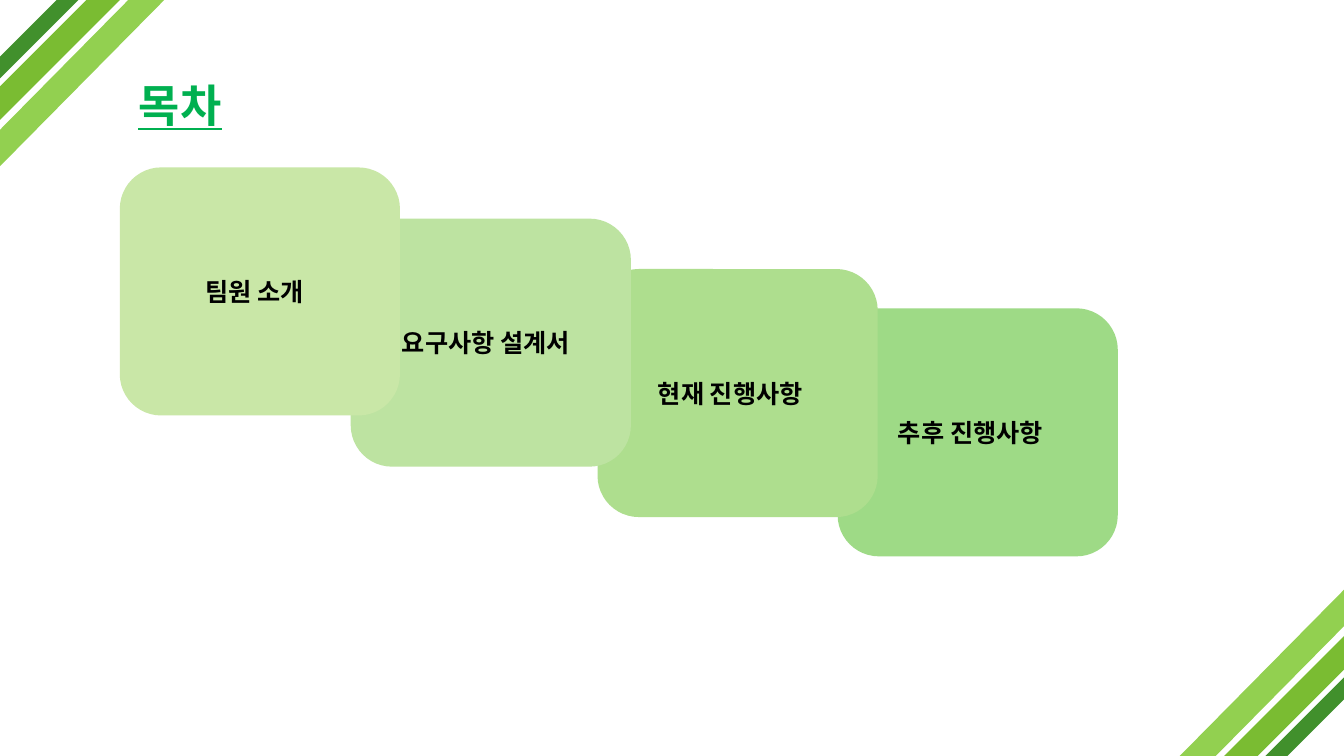
from lxml.etree import SubElement
from pptx import Presentation
from pptx.dml.color import RGBColor
from pptx.enum.shapes import MSO_SHAPE as Shape
from pptx.enum.text import MSO_ANCHOR as Anchor
from pptx.oxml.ns import qn
from pptx.util import Cm, Pt

PAGE_WIDTH, PAGE_HEIGHT = 33.87, 19.05
CARD_WIDTH, CARD_HEIGHT = 7.06, 6.25

# Left, top, label indent, fill, label
CARDS = [
    (3.02, 4.22, 1.9, "C9E7A7", "팀원 소개"),
    (8.84, 5.51, 1.04, "BDE3A1", "요구사항 설계서"),
    (15.06, 6.78, 1.27, "AEDE8E", "현재 진행사항"),
    (21.11, 7.77, 1.27, "9EDA86", "추후 진행사항"),
]

# Width, height, stripe adjustment, fill
STRIPES = [
    (4.14, 4.19, 0.781, "92D050"),
    (3.02, 3.02, 0.721, "7ABC32"),
    (1.98, 1.98, 0.721, "41902C"),
]


def color(value):
    return RGBColor.from_string(value)


def add_filled(page, kind, left, top, width, height, fill):
    shape = page.shapes.add_shape(kind, Cm(left), Cm(top), Cm(width), Cm(height))
    shape.shadow.inherit = False
    shape.fill.solid()
    shape.fill.fore_color.rgb = color(fill)
    shape.line.fill.background()
    return shape


def add_text(page, text, left, top, width, height, *, size, ink="000000",
             font="Arial", underline=None, spacing=None, anchor=Anchor.TOP):
    box = page.shapes.add_textbox(Cm(left), Cm(top), Cm(width), Cm(height))
    frame = box.text_frame
    frame.word_wrap = False
    frame.vertical_anchor = anchor
    span = frame.paragraphs[0].add_run()
    span.text = text
    span.font.size = Pt(size)
    span.font.bold = True
    span.font.underline = underline
    span.font.name = font
    span.font.color.rgb = color(ink)
    properties = span.font._element
    SubElement(properties, qn("a:ea")).set("typeface", "Noto Sans CJK KR")
    if spacing:
        properties.set("spc", str(spacing * 100))
    return frame


def add_title(page, left, top, width, height):
    frame = add_text(page, "목차", left, top, width, height, size=32, ink="00B050",
                     font="Noto Sans CJK KR", underline=True, spacing=1,
                     anchor=Anchor.BOTTOM)
    frame.margin_left = frame.margin_right = frame.margin_top = Cm(0.3)
    frame.margin_bottom = Cm(0.25)


def add_corner(page, right_bottom=False):
    for width, height, adjustment, fill in STRIPES:
        left = PAGE_WIDTH - width if right_bottom else 0
        top = PAGE_HEIGHT - height if right_bottom else 0
        stripe = add_filled(page, Shape.DIAGONAL_STRIPE, left, top, width, height, fill)
        stripe.adjustments[0] = adjustment
        stripe.rotation = 180 if right_bottom else 0


def add_cards(page):
    # Each card overlaps the next one, so the last goes in first
    for left, top, _, fill, _ in reversed(CARDS):
        add_filled(page, Shape.ROUNDED_RECTANGLE, left, top,
                   CARD_WIDTH, CARD_HEIGHT, fill)
    for left, top, indent, _, label in CARDS:
        add_text(page, label, left + indent, top + 2.62,
                 CARD_WIDTH - 2 * indent, 1.02, size=18)


def main():
    deck = Presentation()
    deck.slide_width, deck.slide_height = Cm(PAGE_WIDTH), Cm(PAGE_HEIGHT)
    page = deck.slides.add_slide(deck.slide_layouts[6])
    add_cards(page)
    add_title(page, 3.18, 0.46, 2.97, 3.1)
    add_corner(page)
    add_corner(page, right_bottom=True)
    deck.save("out.pptx")


if __name__ == "__main__":
    main()
